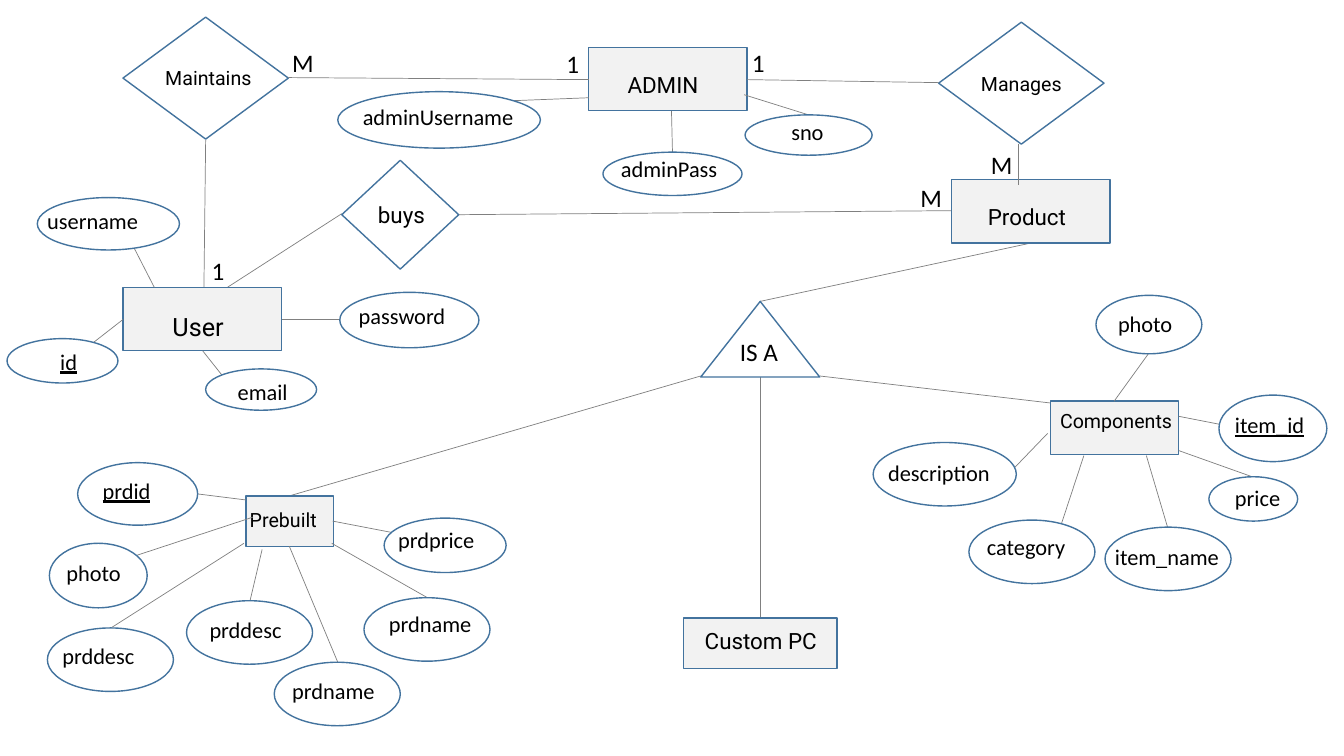
from dataclasses import dataclass
from typing import NamedTuple

from lxml import etree
from pptx import Presentation
from pptx.dml.color import RGBColor
from pptx.enum.shapes import MSO_CONNECTOR, MSO_SHAPE
from pptx.enum.text import MSO_AUTO_SIZE, PP_ALIGN
from pptx.oxml.ns import qn
from pptx.util import Inches, Pt

RECTANGLE = MSO_SHAPE.RECTANGLE
DIAMOND = MSO_SHAPE.DIAMOND
TRIANGLE = MSO_SHAPE.ISOSCELES_TRIANGLE
OVAL = MSO_SHAPE.OVAL
STRAIGHT = MSO_CONNECTOR.STRAIGHT
LEFT, CENTER = PP_ALIGN.LEFT, PP_ALIGN.CENTER
FIT_SHAPE = MSO_AUTO_SIZE.SHAPE_TO_FIT_TEXT

OUTLINE, LINK_GREY, ENTITY_GREY = "43739E", "808080", "F2F2F2"
WHITE, BLACK = "FFFFFF", "000000"
TEXT_HEIGHTS = {14: 0.34, 16: 0.37, 18: 0.4}


class Box(NamedTuple):
    left: float
    top: float
    width: float
    height: float


class Link(NamedTuple):
    start_x: float
    start_y: float
    end_x: float
    end_y: float


@dataclass
class Label:
    text: str
    left: float
    top: float
    width: float
    size: int = 16
    font: str = "Calibri"
    align: PP_ALIGN = LEFT
    underline: bool = False


@dataclass
class Node:
    kind: MSO_SHAPE
    box: Box
    label: Label


@dataclass
class Attribute:
    link: Link
    box: Box
    label: Label


def entity(box: Box, text: str, left: float, top: float, width: float, size: int = 16) -> Node:
    return Node(RECTANGLE, box, Label(text, left, top, width, size, "Roboto", CENTER))


def relationship(box: Box, text: str, left: float, top: float, width: float, size: int = 14) -> Node:
    return Node(DIAMOND, box, Label(text, left, top, width, size, "Roboto"))


def cardinality(text: str, left: float, top: float) -> Label:
    return Label(text, left, top, 0.42, 18)


BACK_LINKS = [
    Link(2.04, 1.39, 2.02, 3.1),
    Link(9.44, 2.09, 4.55, 2.13),
    Link(10.23, 2.41, 7.54, 2.99),
    Link(2.21, 2.88, 3.39, 2.12),
    Link(8.13, 3.73, 10.52, 4.01),
    Link(6.95, 3.73, 2.87, 4.92),
    Link(7.54, 3.73, 7.54, 6.13),
]

NODES = [
    entity(Box(1.22, 2.85, 1.57, 0.63), "User", 1.36, 3.04, 1.21, 18),
    entity(Box(9.44, 1.78, 1.57, 0.63), "Product", 9.58, 1.97, 1.21),
    entity(Box(5.84, 0.47, 1.57, 0.63), "ADMIN", 5.97, 0.66, 1.21),
    entity(Box(10.42, 3.98, 1.27, 0.53), "Components", 10.39, 4.01, 1.36, 14),
    entity(Box(6.78, 6.13, 1.52, 0.5), "Custom PC", 6.69, 6.17, 1.71),
    entity(Box(2.44, 4.92, 0.87, 0.5), "Prebuilt", 2.28, 4.99, 1.06, 14),
    relationship(Box(3.39, 1.59, 1.16, 1.08), "buys", 3.65, 1.95, 0.78, 16),
    relationship(Box(1.22, 0.17, 1.64, 1.21), "Maintains", 1.54, 0.61, 1.12),
    relationship(Box(9.31, 0.22, 1.64, 1.21), "Manages", 9.63, 0.66, 1.12),
    Node(TRIANGLE, Box(6.95, 2.99, 1.18, 0.75), Label("IS A", 7.24, 3.29, 0.72, 18)),
]

ATTRIBUTES = [
    # User
    Attribute(Link(0.86, 3.45, 1.22, 3.17), Box(0.07, 3.36, 1.1, 0.44),
              Label("id", 0.22, 3.4, 0.92, align=CENTER, underline=True)),
    Attribute(Link(1.32, 2.44, 1.53, 2.85), Box(0.37, 1.96, 1.41, 0.52),
              Label("username", 0.37, 2.01, 1.44)),
    Attribute(Link(2.01, 3.48, 2.2, 3.72), Box(2.04, 3.66, 1.1, 0.41),
              Label("email", 2.26, 3.7, 1.46)),
    Attribute(Link(2.8, 3.17, 3.37, 3.17), Box(3.37, 2.9, 1.38, 0.55),
              Label("password", 3.46, 2.95, 1.83)),
    # Prebuilt
    Attribute(Link(2.44, 4.96, 1.96, 4.9), Box(0.77, 4.59, 1.19, 0.62),
              Label("prdid", 0.92, 4.68, 0.86, underline=True)),
    Attribute(Link(3.29, 5.39, 4.24, 5.93), Box(3.61, 5.93, 1.25, 0.63),
              Label("prdname", 3.76, 6, 1.76)),
    Attribute(Link(3.3, 5.17, 4.29, 5.36), Box(3.81, 5.14, 1.21, 0.54),
              Label("prdprice", 3.85, 5.17, 1.09)),
    Attribute(Link(2.6, 5.45, 2.48, 5.96), Box(1.85, 5.96, 1.25, 0.63),
              Label("prddesc", 1.98, 6.06, 1.76)),
    Attribute(Link(2.51, 5.13, 1.08, 5.6), Box(0.49, 5.39, 0.97, 0.64),
              Label("photo", 0.56, 5.5, 1.41)),
    Attribute(Link(2.87, 5.42, 3.35, 6.57), Box(2.72, 6.57, 1.25, 0.63),
              Label("prdname", 2.8, 6.67, 1.76)),
    Attribute(Link(2.42, 5.39, 1.1, 6.23), Box(0.47, 6.23, 1.25, 0.63),
              Label("prddesc", 0.52, 6.32, 1.76)),
    # Components
    Attribute(Link(11.69, 4.13, 12.15, 4.22), Box(12.09, 3.92, 1.07, 0.66),
              Label("item_id", 12.15, 4.03, 1.54, underline=True)),
    Attribute(Link(11.37, 4.52, 11.58, 5.23), Box(10.96, 5.23, 1.25, 0.63),
              Label("item_name", 10.96, 5.34, 1.76)),
    Attribute(Link(11.69, 4.47, 12.42, 4.73), Box(11.99, 4.73, 0.88, 0.44),
              Label("price", 12.15, 4.75, 0.72)),
    Attribute(Link(10.39, 4.3, 9.87, 4.84), Box(8.66, 4.39, 1.42, 0.63),
              Label("description", 8.71, 4.51, 1.76)),
    Attribute(Link(11.05, 3.98, 11.39, 3.51), Box(10.87, 2.93, 1.05, 0.58),
              Label("photo", 10.99, 3.03, 1.72)),
    Attribute(Link(10.75, 4.52, 10.52, 5.22), Box(9.61, 5.16, 1.25, 0.63),
              Label("category", 9.69, 5.24, 1.81)),
    # ADMIN
    Attribute(Link(8.02, 1.14, 7.38, 0.94), Box(7.39, 1.14, 1.26, 0.4),
              Label("sno", 7.75, 1.12, 1.26)),
    Attribute(Link(6.67, 1.51, 6.66, 1.1), Box(5.98, 1.51, 1.38, 0.43),
              Label("adminPass", 6.06, 1.49, 1.37)),
    Attribute(Link(5.06, 1, 5.84, 0.97), Box(3.35, 0.91, 2.01, 0.56),
              Label("adminUsername", 3.5, 0.97, 2)),
]

FRONT_LINKS = [
    Link(2.86, 0.77, 5.84, 0.79),
    Link(7.41, 0.79, 9.31, 0.82),
    Link(10.1, 1.43, 10.1, 1.84),
]

CARDINALITIES = [
    cardinality("M", 9.03, 1.76),
    cardinality("1", 2, 2.48),
    cardinality("1", 5.52, 0.43),
    cardinality("1", 7.36, 0.42),
    cardinality("M", 2.8, 0.42),
    cardinality("M", 9.73, 1.43),
]


def color(hex_code: str) -> RGBColor:
    return RGBColor.from_string(hex_code)


def draw_link(page, link: Link) -> None:
    connector = page.shapes.add_connector(STRAIGHT, *map(Inches, link))
    connector.line.color.rgb = color(LINK_GREY)
    connector.line.width = Pt(0.5)
    etree.SubElement(connector._element.spPr, qn("a:effectLst"))


def draw_label(page, label: Label) -> None:
    area = Box(label.left, label.top, label.width, TEXT_HEIGHTS[label.size])
    frame = page.shapes.add_textbox(*map(Inches, area)).text_frame
    frame.word_wrap = True
    frame.auto_size = FIT_SHAPE
    frame.text = label.text
    para = frame.paragraphs[0]
    para.alignment = label.align
    font = para.runs[0].font
    font.name, font.size = label.font, Pt(label.size)
    font.color.rgb = color(BLACK)
    if label.underline:
        font.underline = True


def draw_node(page, node: Node) -> None:
    shape = page.shapes.add_shape(node.kind, *map(Inches, node.box))
    shape.shadow.inherit = False
    shape.fill.solid()
    shape.fill.fore_color.rgb = color(ENTITY_GREY if node.kind == RECTANGLE else WHITE)
    shape.line.color.rgb = color(OUTLINE)
    shape.line.width = Pt(1)
    draw_label(page, node.label)


def main() -> None:
    deck = Presentation()
    deck.slide_width, deck.slide_height = Inches(13.33), Inches(7.5)
    page = deck.slides.add_slide(deck.slide_layouts[6])
    for link in BACK_LINKS:
        draw_link(page, link)
    for node in NODES:
        draw_node(page, node)
    for attribute in ATTRIBUTES:
        draw_link(page, attribute.link)
        draw_node(page, Node(OVAL, attribute.box, attribute.label))
    for link in FRONT_LINKS:
        draw_link(page, link)
    for label in CARDINALITIES:
        draw_label(page, label)
    deck.save("out.pptx")


if __name__ == "__main__":
    main()
